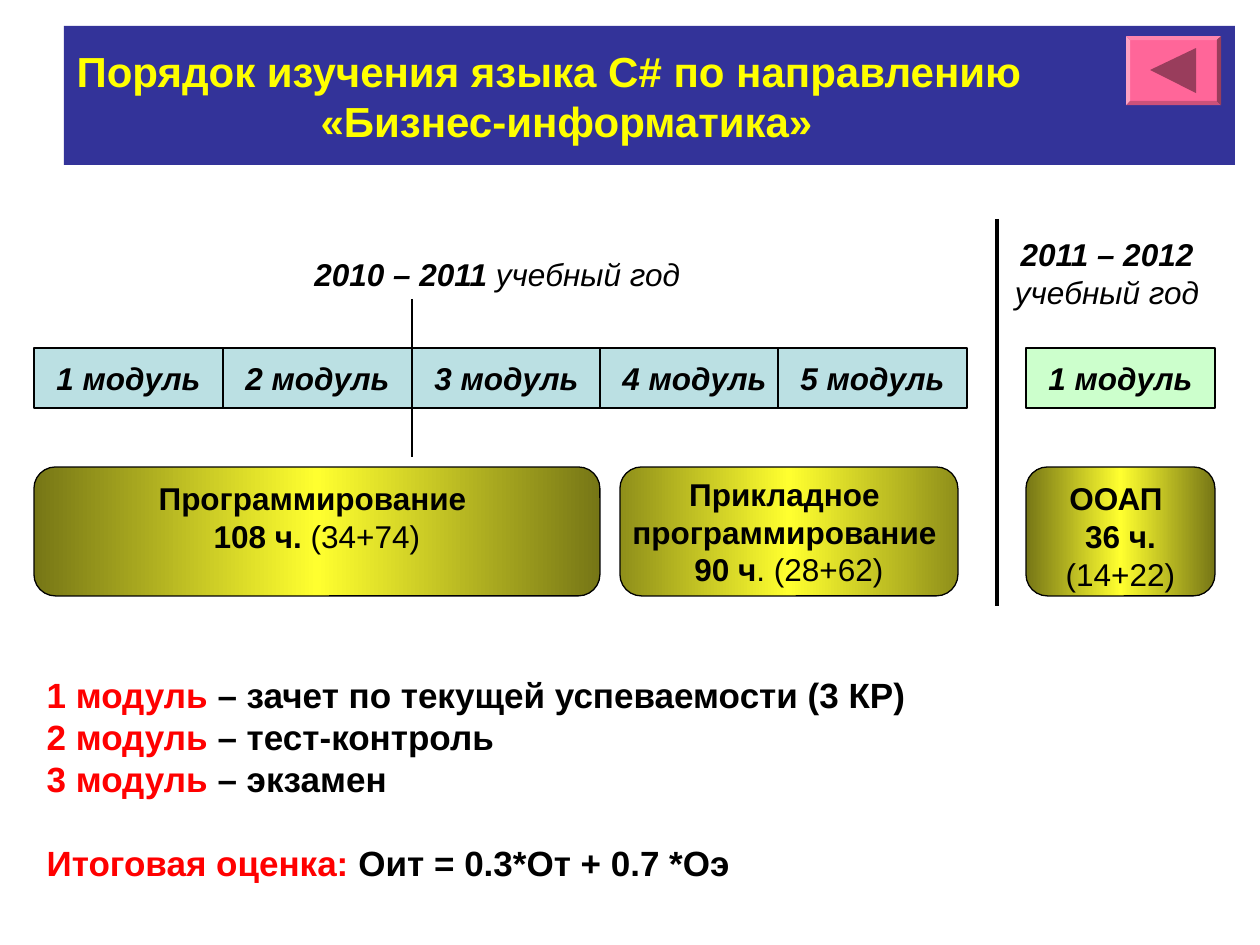
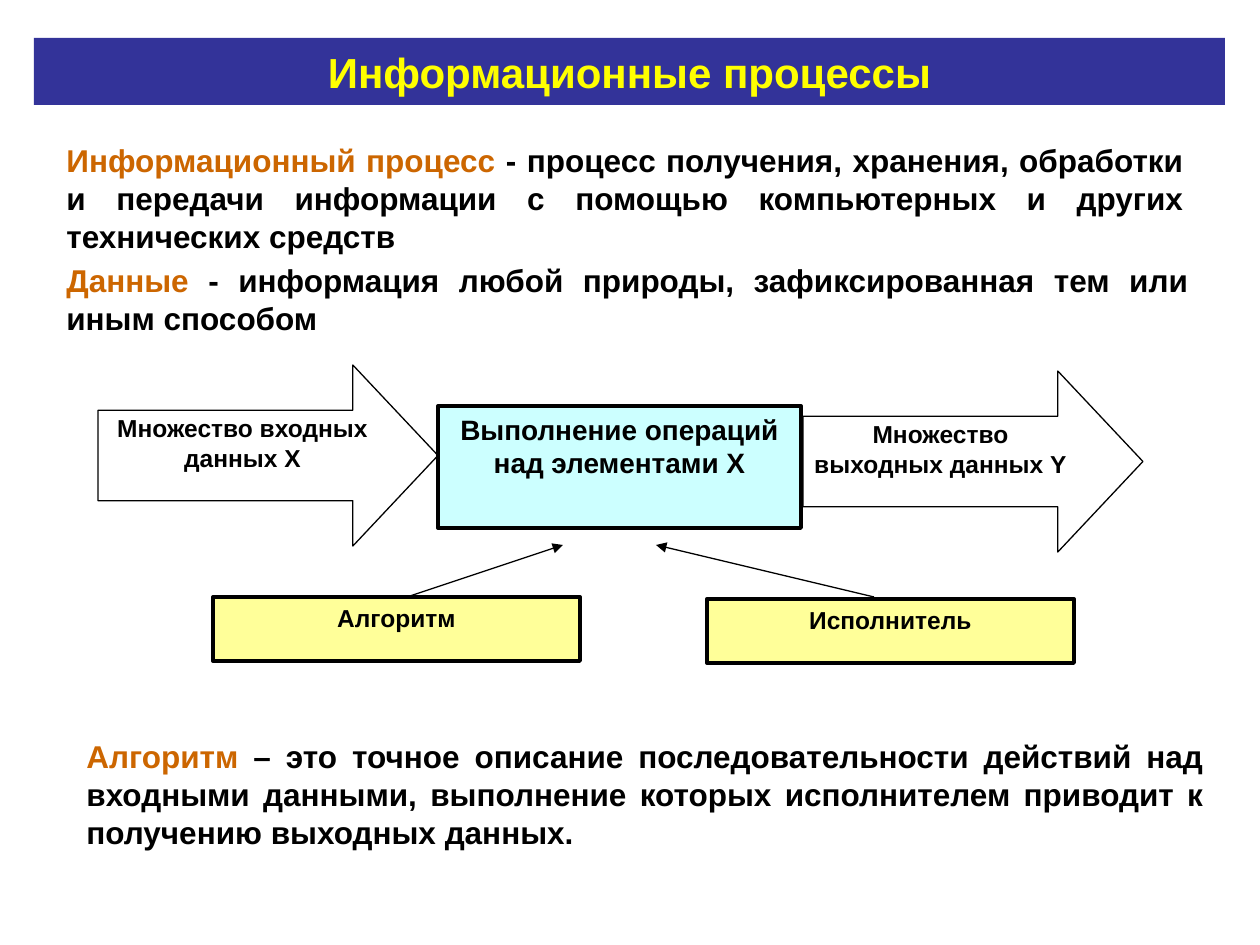
from copy import deepcopy

from lxml import etree
from pptx import Presentation
from pptx.dml.color import RGBColor
from pptx.enum.shapes import MSO_CONNECTOR, MSO_SHAPE
from pptx.enum.text import MSO_ANCHOR, MSO_AUTO_SIZE, PP_ALIGN
from pptx.oxml.ns import qn
from pptx.util import Emu, Pt

RECTANGLE = MSO_SHAPE.RECTANGLE
ROUNDED = MSO_SHAPE.ROUNDED_RECTANGLE
ARROW = MSO_SHAPE.RIGHT_ARROW
BEVEL = MSO_SHAPE.BEVEL
STRAIGHT = MSO_CONNECTOR.STRAIGHT
TOP, MIDDLE = MSO_ANCHOR.TOP, MSO_ANCHOR.MIDDLE
LEFT, CENTER, JUSTIFY = PP_ALIGN.LEFT, PP_ALIGN.CENTER, PP_ALIGN.JUSTIFY
NO_FIT = MSO_AUTO_SIZE.NONE

EMU_PER_PX = 914400 / 126
FONT = "Arial"
BLACK, RED, ORANGE = "000000", "FF0000", "CC6600"
BAND, TITLE_TEXT = "333399", "FFFF00"
BUTTON, BUTTON_ARROW = "FF6699", "993D5C"
MODULE, NEXT_YEAR_MODULE = "BBE0E3", "CCFFCC"
COURSE_GLOW, COURSE_EDGE, APPLIED_EDGE = "FFFF2F", "767616", "8F8F1A"
PROCESS, RESOURCE = "CCFFFF", "FFFF99"


def px(length):
    """Turn pixels into EMU."""
    return Emu(round(length * EMU_PER_PX))


def box_emu(box):
    """Turn a box of left, top, width, height into EMU."""
    return [px(length) for length in box]


def color(value):
    """Turn a hex string into a colour."""
    return RGBColor.from_string(value)


def write(shape, lines, size, align=LEFT, anchor=TOP, ink=BLACK, bold=True, italic=False,
          wrap=True):
    """Fill a shape with lines, each a list of (text, changes) runs."""
    frame = shape.text_frame
    frame.word_wrap = wrap
    frame.auto_size = NO_FIT
    frame.vertical_anchor = anchor
    for index, line in enumerate(lines):
        paragraph = frame.paragraphs[0] if index == 0 else frame.add_paragraph()
        paragraph.alignment = align
        paragraph.space_before = Pt(0)
        for text, changes in line:
            run = paragraph.add_run()
            run.text = text
            style = {"ink": ink, "bold": bold, **changes}
            run.font.name = FONT
            run.font.size = Pt(size)
            run.font.bold = style["bold"]
            run.font.italic = italic
            run.font.color.rgb = color(style["ink"])
    return frame


def add_text(slide, box, lines, size, **style):
    """Add a wrapping text box."""
    return write(slide.shapes.add_textbox(*box_emu(box)), lines, size, **style)


def add_figure(slide, kind, box, fill=None, line_width=None):
    """Add a preset shape with a flat fill and a black outline, each optional."""
    shape = slide.shapes.add_shape(kind, *box_emu(box))
    shape.shadow.inherit = False
    if fill:
        shape.fill.solid()
        shape.fill.fore_color.rgb = color(fill)
    else:
        shape.fill.background()
    if line_width:
        shape.line.color.rgb = color(BLACK)
        shape.line.width = Pt(line_width)
    else:
        shape.line.fill.background()
    return shape


def add_line(slide, start, end, width, arrow=False):
    """Add a straight black line, with an arrowhead at its end if asked."""
    line = slide.shapes.add_connector(STRAIGHT, *box_emu(start + end))
    line.line.color.rgb = color(BLACK)
    line.line.width = Pt(width)
    if arrow:
        etree.SubElement(line.line._get_or_add_ln(), qn("a:tailEnd"), type="triangle")
    etree.SubElement(line._element.spPr, qn("a:effectLst"))


def set_title(slide, box, lines, align):
    """Place the title placeholder as a blue band with yellow text."""
    title = slide.shapes.title
    title.left, title.top, title.width, title.height = box_emu(box)
    title.fill.solid()
    title.fill.fore_color.rgb = color(BAND)
    runs = [[(line, {})] for line in lines]
    return write(title, runs, 24, align=align, anchor=MIDDLE, ink=TITLE_TEXT)


def add_back_button(slide, box):
    """Add a bevelled button with a triangle pointing left."""
    left, top = box[:2]
    button = add_figure(slide, BEVEL, box, BUTTON)
    button.adjustments[0] = 0.06
    builder = slide.shapes.build_freeform(px(left + 24), px(top + 34), scale=1.0)
    corners = [(px(left + 70), px(top + y)) for y in (12, 57)]
    builder.add_line_segments(corners, close=True)
    triangle = builder.convert_to_shape()
    triangle.shadow.inherit = False
    triangle.fill.solid()
    triangle.fill.fore_color.rgb = color(BUTTON_ARROW)
    triangle.line.fill.background()


def add_module(slide, left, number, fill=MODULE):
    """Add one module cell of the timeline."""
    cell = add_figure(slide, RECTANGLE, (left, 348, 189, 60), fill, 0.75)
    write(cell, [[(f"{number} модуль", {})]], 18, align=CENTER, anchor=MIDDLE, italic=True)


def add_course(slide, left, width, lines, edge=COURSE_EDGE, **style):
    """Add a rounded course box that glows in the middle."""
    course = add_figure(slide, ROUNDED, (left, 467, width, 129), line_width=0.75)
    course.fill.gradient()
    course.fill.gradient_angle = 0
    stop_list = course._element.spPr.find(".//" + qn("a:gsLst"))
    stop_list.append(deepcopy(stop_list[1]))
    stops = zip(course.fill.gradient_stops, (0, 0.5, 1), (edge, COURSE_GLOW, edge))
    for stop, position, value in stops:
        stop.position = position
        stop.color.rgb = color(value)
    write(course, lines, 18, align=CENTER, **style)


def add_timeline(slide):
    """Add the years, the modules and the courses taught in them."""
    plain = {"bold": False}
    for number, left in enumerate((34, 223, 412, 600, 778), 1):
        add_module(slide, left, number)
    add_module(slide, 1026, 1, NEXT_YEAR_MODULE)
    add_text(slide, (302, 249, 427, 50),
             [[("2010 – 2011", {}), (" учебный год", plain)]], 18, italic=True)
    add_text(slide, (988, 229, 238, 88),
             [[("2011 – 2012", {}), (" учебный год", plain)]], 18, align=CENTER, italic=True)
    add_line(slide, (997, 219), (997, 606), 2.25)
    add_line(slide, (412, 299), (412, 457), 1.5)
    add_course(slide, 34, 566,
               [[("Программирование ", {})], [("108 ч. ", {}), ("(34+74)", plain)]])
    add_course(slide, 1026, 189,
               [[("ООАП ", {})], [("36 ч.", {}), (" (14+22)", plain)]])
    add_course(slide, 620, 338,
               [[("Прикладное ", {})], [("программирование ", {})],
                [("90 ч", {}), (". (28+62)", plain)]], APPLIED_EDGE, anchor=MIDDLE, wrap=False)


def set_grading_list(slide, box):
    """Place the body placeholder as an unbulleted list of grading rules."""
    body = slide.placeholders[1]
    body.left, body.top, body.width, body.height = box_emu(box)
    rules = [
        ("1 модуль ", "– зачет по текущей успеваемости (3 КР)"),
        ("2 модуль ", "– тест-контроль"),
        ("3 модуль ", "– экзамен"),
        ("Итоговая оценка: ", "Оит = 0.3*Oт + 0.7 *Oэ"),
    ]
    lines = [[(term, {"ink": RED}), (rule, {})] for term, rule in rules]
    frame = write(body, lines, 20, anchor=MIDDLE)
    for paragraph in frame.paragraphs:
        properties = paragraph._p.get_or_add_pPr()
        properties.set("marL", "0")
        properties.set("indent", "0")
        etree.SubElement(properties, qn("a:buNone"))
    frame.paragraphs[-1].space_before = Pt(24)


def add_definition(slide, box, term, meaning):
    """Add a justified definition with its term in orange."""
    add_text(slide, box, [[(term, {"ink": ORANGE}), (meaning, {})]], 18,
             align=JUSTIFY, anchor=MIDDLE)


def add_data_arrow(slide, left, top, label_left, text):
    """Add an outlined block arrow and the label inside it."""
    arrow = add_figure(slide, ARROW, (left, top, 340, 181), line_width=0.75)
    arrow.adjustments[0] = 0.5
    arrow.adjustments[1] = 0.47
    add_text(slide, (left + label_left, top + 42, 295, 103), [[(text, {})]], 14, align=CENTER)


def add_labelled_box(slide, box, fill, text, size):
    """Add a thickly outlined box with centred text at its top."""
    shape = add_figure(slide, RECTANGLE, box, fill, 2.25)
    write(shape, [[(text, {})]], size, align=CENTER)


def add_process_diagram(slide):
    """Add the input, operation and output with the resources they need."""
    add_data_arrow(slide, 98, 365, -3, "Множество входных данных X")
    add_data_arrow(slide, 803, 371, -10, "Множество выходных данных Y")
    add_labelled_box(slide, (438, 406, 363, 122), PROCESS,
                     "Выполнение операций над элементами X", 16)
    add_labelled_box(slide, (213, 597, 367, 64), RESOURCE, "Алгоритм", 14)
    add_labelled_box(slide, (707, 599, 367, 64), RESOURCE, "Исполнитель", 14)
    add_line(slide, (407, 597), (563, 545), 0.75, arrow=True)
    add_line(slide, (874, 597), (656, 545), 0.75, arrow=True)


def build_schedule_slide(presentation):
    """Build the slide on the order of study."""
    slide = presentation.slides.add_slide(presentation.slide_layouts[1])
    lines = ["Порядок изучения языка C# по направлению", "«Бизнес-информатика»"]
    frame = set_title(slide, (64, 26, 1171, 139), lines, LEFT)
    frame.paragraphs[1]._p.get_or_add_pPr().set("marL", str(px(244)))
    set_grading_list(slide, (34, 667, 903, 223))
    add_back_button(slide, (1126, 36, 95, 69))
    add_timeline(slide)


def build_process_slide(presentation):
    """Build the slide on information processes."""
    slide = presentation.slides.add_slide(presentation.slide_layouts[5])
    set_title(slide, (34, 38, 1191, 67), ["Информационные процессы"], CENTER)
    add_definition(slide, (54, 135, 1142, 126), "Информационный процесс",
                   " - процесс получения, хранения, обработки и передачи информации "
                   "с помощью компьютерных и других технических средств")
    add_definition(slide, (54, 255, 1147, 88), "Данные",
                   " - информация любой природы, зафиксированная тем или иным способом")
    add_definition(slide, (74, 731, 1142, 126), "Алгоритм ",
                   "– это точное описание последовательности действий над входными данными, "
                   "выполнение которых исполнителем приводит к получению выходных данных.")
    add_process_diagram(slide)


def main():
    """Build and save the presentation."""
    presentation = Presentation()
    presentation.slide_width, presentation.slide_height = px(1260), px(945)
    build_schedule_slide(presentation)
    build_process_slide(presentation)
    presentation.save("out.pptx")


if __name__ == "__main__":
    main()
